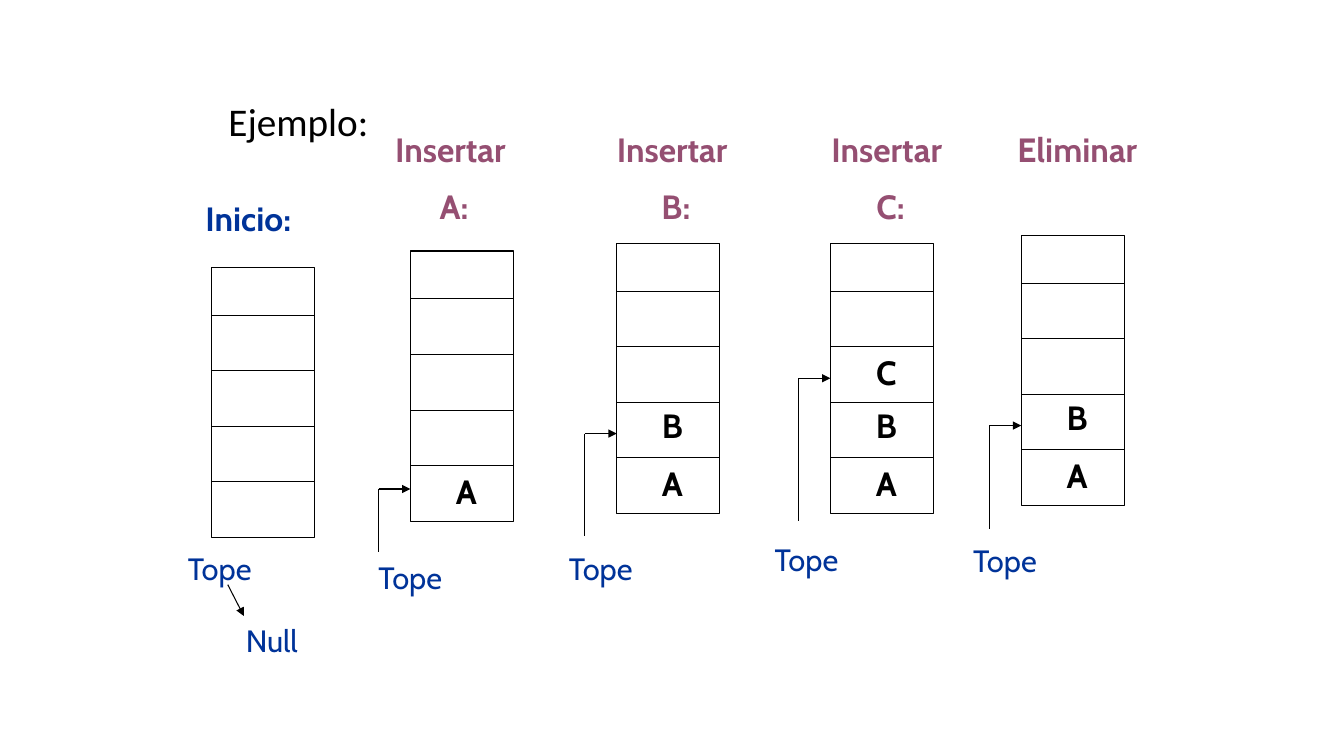
from dataclasses import dataclass

from pptx import Presentation
from pptx.dml.color import RGBColor
from pptx.enum.shapes import MSO_CONNECTOR as Connector, MSO_SHAPE as Shape
from pptx.enum.text import MSO_ANCHOR as Anchor, PP_ALIGN as Align
from pptx.oxml.ns import qn
from pptx.util import Pt


@dataclass(frozen=True)
class Theme:
    """Colours, fonts and sizes used on the slide."""
    black: str = "000000"
    blue: str = "003399"
    purple: str = "954F72"
    font: str = "Cabin"
    title_font: str = "Calibri"
    title_size: int = 28
    heading_size: int = 24
    label_size: int = 22
    line_width: float = 0.75


@dataclass(frozen=True)
class Stack:
    """One state of the stack, with the places of its parts in points."""
    left: float
    top: float
    tope: tuple
    letters: str = ""
    heading: tuple = ()
    heading_left: float = 0
    stem_end: float = 0


THEME = Theme()
STACK_WIDTH, STACK_HEIGHT = 73.6, 193
CELL_HEIGHT, CELL_COUNT = 39.7, 5
LETTER_TOPS = (153.4, 111.6, 74.2)
POINTER_TOPS = (170, 136, 96.5)
POINTER_LENGTH = 22.8
HEADING = {"size": Pt(THEME.heading_size), "name": THEME.font, "bold": True}
LABEL = {"size": Pt(THEME.label_size), "name": THEME.font}
TITLE = {"size": Pt(THEME.title_size), "name": THEME.title_font}
STACKS = (
    Stack(151.2, 190.9, (123.1, 388.8)),
    Stack(293.2, 179.3, (259.2, 395.2), "A", ("Insertar ", "A:"), 247.7, 394.6),
    Stack(440.5, 173.7, (395.3, 388.8), "AB", ("Insertar ", "B:"), 406.1, 383),
    Stack(593.2, 173.7, (542.2, 383), "ABC", ("Insertar ", "C:"), 559.4, 372.2),
    Stack(729.5, 168, (684, 383.6), "AB", ("Eliminar ",), 695.5, 378),
)


def set_values(target, values):
    """Set each named attribute of the target."""
    for name, value in values.items():
        setattr(target, name, value)


def place(shape, left, top, width, height):
    """Position a shape by lengths in points."""
    set_values(shape, {"left": Pt(left), "top": Pt(top), "width": Pt(width), "height": Pt(height)})


def write(text_frame, lines, values, color, align):
    """Write one formatted paragraph per line of text."""
    text_frame.text = "\n".join(lines)
    for paragraph in text_frame.paragraphs:
        set_values(paragraph, {"alignment": align, "space_after": Pt(12)})
        font = paragraph.runs[0].font
        set_values(font, values)
        font.color.rgb = RGBColor.from_string(color)


def add_text(shapes, lines, box, values, color, align=Align.CENTER):
    """Add a wrapping text box."""
    shape = shapes.add_textbox(*map(Pt, box))
    shape.text_frame.word_wrap = True
    write(shape.text_frame, lines, values, color, align)


def set_line(line):
    """Give an outline the thin black style."""
    line.color.rgb = RGBColor.from_string(THEME.black)
    line.width = Pt(THEME.line_width)


def add_line(shapes, start, end, arrow=False):
    """Add a straight line, with an arrowhead at its end on request."""
    connector = shapes.add_connector(Connector.STRAIGHT, *map(Pt, (*start, *end)))
    set_line(connector.line)
    properties = connector.element.spPr
    if arrow:
        outline = properties.find(qn("a:ln"))
        outline.append(outline.makeelement(qn("a:tailEnd"), {"type": "triangle"}))
    properties.append(properties.makeelement(qn("a:effectLst"), {}))


def add_cells(shapes, stack):
    """Draw the frame of a stack and the lines between its cells."""
    frame = shapes.add_shape(
        Shape.RECTANGLE, *map(Pt, (stack.left, stack.top, STACK_WIDTH, STACK_HEIGHT)))
    frame.shadow.inherit = False
    frame.fill.background()
    set_line(frame.line)
    for row in range(1, CELL_COUNT):
        y = stack.top + STACK_HEIGHT - row * CELL_HEIGHT
        add_line(shapes, (stack.left, y), (stack.left + STACK_WIDTH, y))


def add_pointer(shapes, stack):
    """Draw the bent pointer to the top letter of a stack."""
    x = stack.left - POINTER_LENGTH
    y = stack.top + POINTER_TOPS[len(stack.letters) - 1]
    add_line(shapes, (x, y), (stack.left, y), arrow=True)
    add_line(shapes, (x, y), (x, stack.stem_end))


def add_stack(slide, stack):
    """Add a stack with its heading, letters, label and pointer."""
    if stack.heading:
        add_text(slide.shapes, stack.heading, (stack.heading_left, 88.6, 153.4, 80),
                 HEADING, THEME.purple)
    shapes = slide.shapes.add_group_shape().shapes
    add_cells(shapes, stack)
    add_text(shapes, ["Tope"], (*stack.tope, 67.7, 33.8), LABEL, THEME.blue)
    for letter, offset in zip(stack.letters, LETTER_TOPS):
        add_text(shapes, [letter], (stack.left + 11.4, stack.top + offset, 56.9, 36.7),
                 HEADING, THEME.black)
    if stack.letters:
        add_pointer(shapes, stack)
    else:
        add_line(shapes, (162.7, 417.6), (174.2, 440), arrow=True)
        add_text(shapes, ["Null"], (168.5, 440.6, 56.9, 33.8), LABEL, THEME.blue, Align.LEFT)


def add_title(slide, text):
    """Place and format the title."""
    title = slide.shapes.title
    place(title, 156, 66, 150, 44)
    set_values(title.text_frame, {"vertical_anchor": Anchor.TOP, "word_wrap": True})
    write(title.text_frame, [text], TITLE, THEME.black, Align.LEFT)


def main():
    """Build and save the slide."""
    presentation = Presentation()
    set_values(presentation, {"slide_width": Pt(960), "slide_height": Pt(540)})
    slide = presentation.slides.add_slide(presentation.slide_layouts[5])
    add_title(slide, "Ejemplo:")
    add_text(slide.shapes, ["Inicio:"], (139.7, 137.5, 108, 36), HEADING, THEME.blue, Align.LEFT)
    for stack in STACKS:
        add_stack(slide, stack)
    presentation.save("out.pptx")


main()
